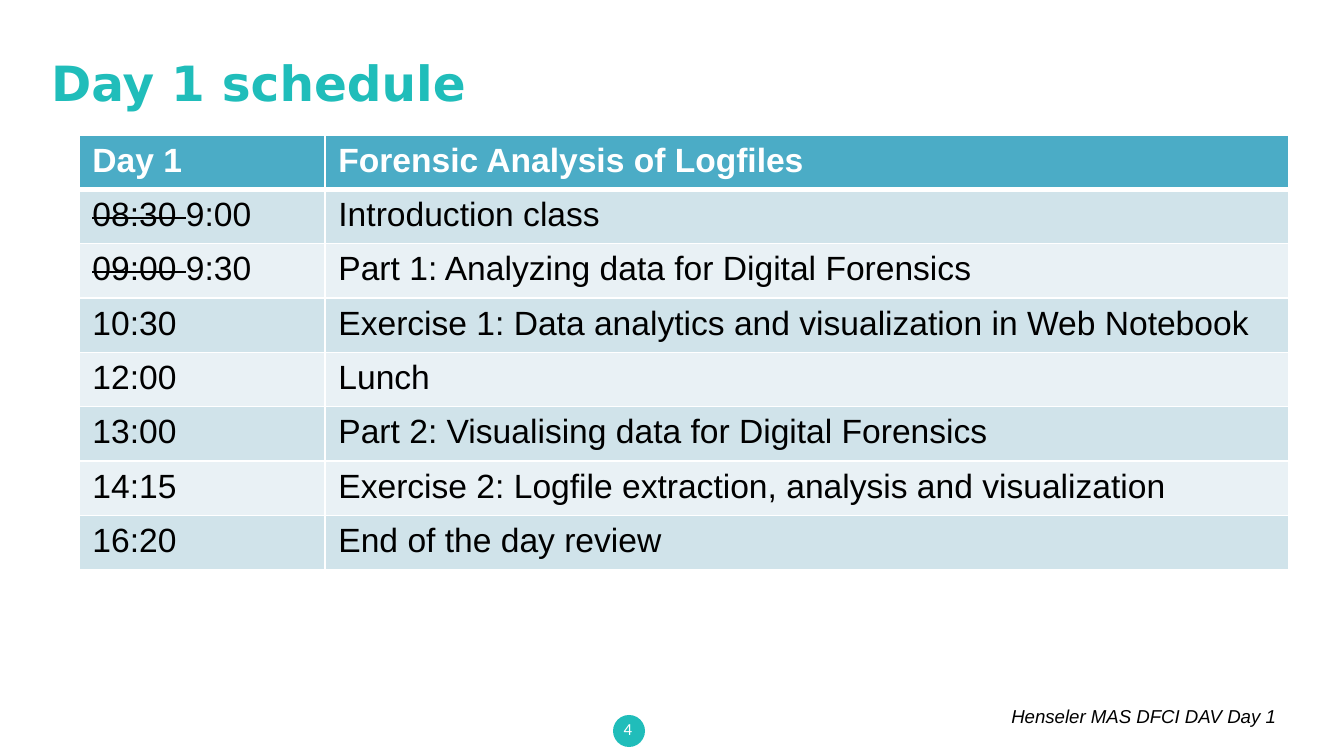
from lxml import etree
from pptx import Presentation
from pptx import util as u
from pptx.dml.color import RGBColor
from pptx.enum import shapes, text
from pptx.oxml.ns import qn

EMU_PER_PX = 914400 / 134.4

WHITE = RGBColor(0xFF, 0xFF, 0xFF)
BLACK = RGBColor(0x00, 0x00, 0x00)
TEAL = RGBColor(0x20, 0xBD, 0xBA)
HEADER_BLUE = RGBColor(0x4B, 0xAC, 0xC6)
BANDS = (RGBColor(0xD0, 0xE3, 0xEA), RGBColor(0xE9, 0xF1, 0xF5))

COLUMN_WIDTHS = (246, 964)
TABLE_HEIGHT = 435

# Each row: struck-out former time, time, activity
SCHEDULE = [
    ("", "Day 1", "Forensic Analysis of Logfiles"),
    ("08:30 ", "9:00", "Introduction class"),
    ("09:00 ", "9:30", "Part 1: Analyzing data for Digital Forensics"),
    ("", "10:30", "Exercise 1: Data analytics and visualization in Web Notebook"),
    ("", "12:00", "Lunch"),
    ("", "13:00", "Part 2: Visualising data for Digital Forensics"),
    ("", "14:15", "Exercise 2: Logfile extraction, analysis and visualization"),
    ("", "16:20", "End of the day review"),
]


def px(length):
    return u.Emu(round(length * EMU_PER_PX))


def add_run(paragraph, content, size=18, font="Arial", color=BLACK,
            bold=False, italic=False, strike=False):
    run = paragraph.add_run()
    run.text = content
    run.font.size = u.Pt(size)
    run.font.name = font
    run.font.color.rgb = color
    run.font.bold = bold
    run.font.italic = italic
    if strike:
        run._r.get_or_add_rPr().set("strike", "sngStrike")


def add_label(slide, box, content, align=text.PP_ALIGN.LEFT,
              anchor=text.MSO_ANCHOR.MIDDLE, **style):
    frame = slide.shapes.add_textbox(*map(px, box)).text_frame
    frame.word_wrap = True
    frame.vertical_anchor = anchor
    paragraph = frame.paragraphs[0]
    paragraph.alignment = align
    add_run(paragraph, content, **style)


def add_dot(slide, box, color):
    shape = slide.shapes.add_shape(shapes.MSO_SHAPE.OVAL, *map(px, box))
    shape.shadow.inherit = False
    shape.fill.solid()
    shape.fill.fore_color.rgb = color
    shape.line.fill.background()


def set_borders(cell, top=1, bottom=1):
    properties = cell._tc.get_or_add_tcPr()
    widths = {"a:lnL": 1, "a:lnR": 1, "a:lnT": top, "a:lnB": bottom}
    for index, (tag, width) in enumerate(widths.items()):
        line = etree.Element(qn(tag), w=str(u.Pt(width)))
        fill = etree.SubElement(line, qn("a:solidFill"))
        etree.SubElement(fill, qn("a:srgbClr"), val=str(WHITE))
        properties.insert(index, line)


def add_schedule(slide, left, top):
    table = slide.shapes.add_table(
        len(SCHEDULE), len(COLUMN_WIDTHS), px(left), px(top),
        px(sum(COLUMN_WIDTHS)), px(TABLE_HEIGHT)).table
    for column, width in zip(table.columns, COLUMN_WIDTHS):
        column.width = px(width)
    for index, (former, time, activity) in enumerate(SCHEDULE):
        header = index == 0
        color = WHITE if header else BLACK
        time_cell, activity_cell = table.rows[index].cells
        for cell in (time_cell, activity_cell):
            cell.fill.solid()
            cell.fill.fore_color.rgb = HEADER_BLUE if header else BANDS[(index - 1) % 2]
            set_borders(cell, top=3 if index == 1 else 1, bottom=3 if header else 1)
        paragraph = time_cell.text_frame.paragraphs[0]
        if former:
            add_run(paragraph, former, color=color, strike=True)
        add_run(paragraph, time, color=color, bold=header)
        add_run(activity_cell.text_frame.paragraphs[0], activity,
                color=color, bold=header)


def main():
    presentation = Presentation()
    presentation.slide_width = px(1344)
    presentation.slide_height = px(756)
    slide = presentation.slides.add_slide(presentation.slide_layouts[6])

    # Page number and footer
    add_dot(slide, (613, 715, 32, 32), TEAL)
    add_label(slide, (598, 709, 60, 40), "4", align=text.PP_ALIGN.CENTER,
              size=9, font="Calibri", color=WHITE)
    add_label(slide, (680, 698, 609, 36), "Henseler MAS DFCI DAV Day 1",
              align=text.PP_ALIGN.RIGHT, anchor=text.MSO_ANCHOR.TOP,
              size=10, italic=True)

    # Schedule and title
    add_schedule(slide, 79, 135)
    add_label(slide, (38, 30, 1210, 105), "Day 1 schedule",
              size=26, font="DejaVu Sans", color=TEAL, bold=True)

    presentation.save("out.pptx")


if __name__ == "__main__":
    main()
